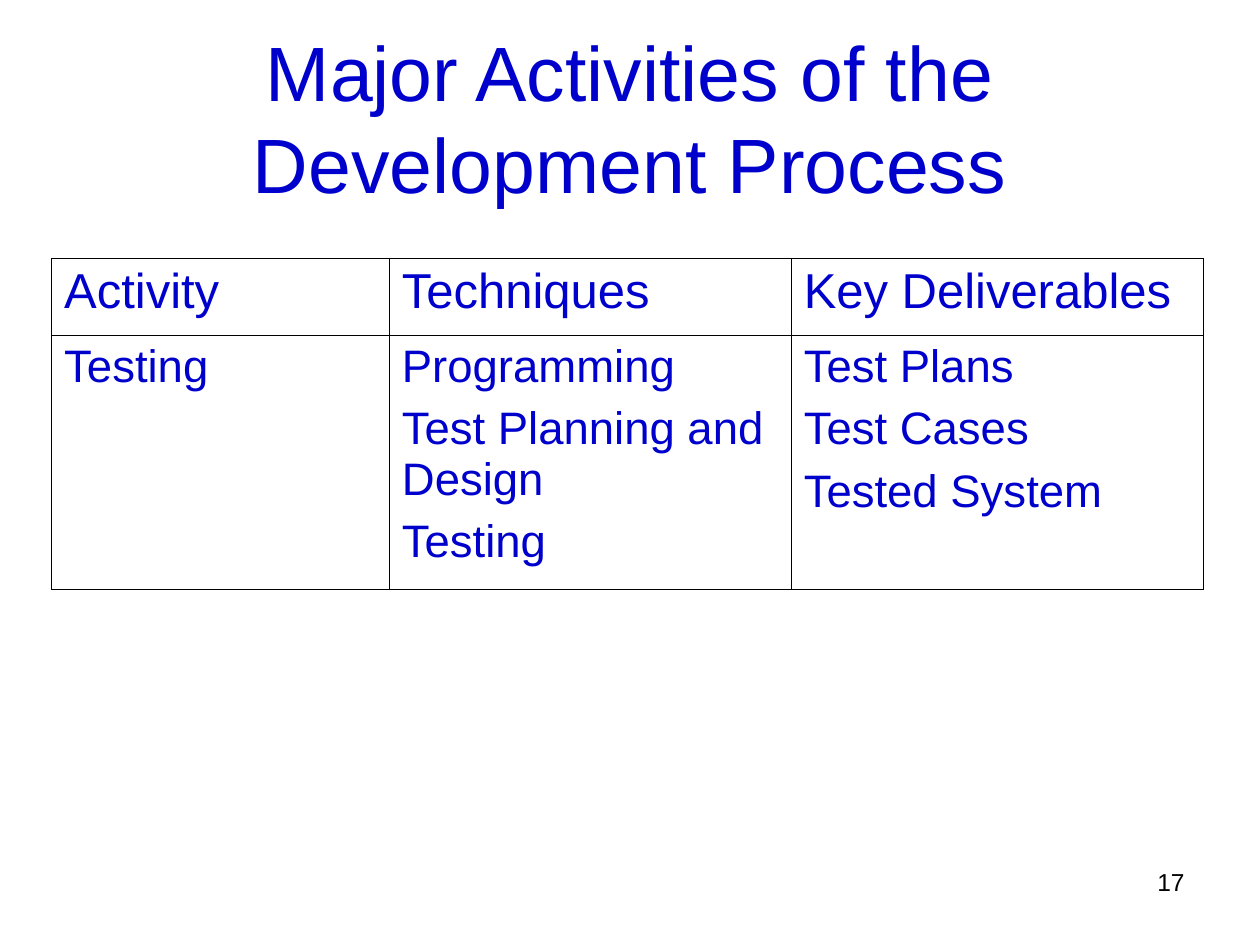
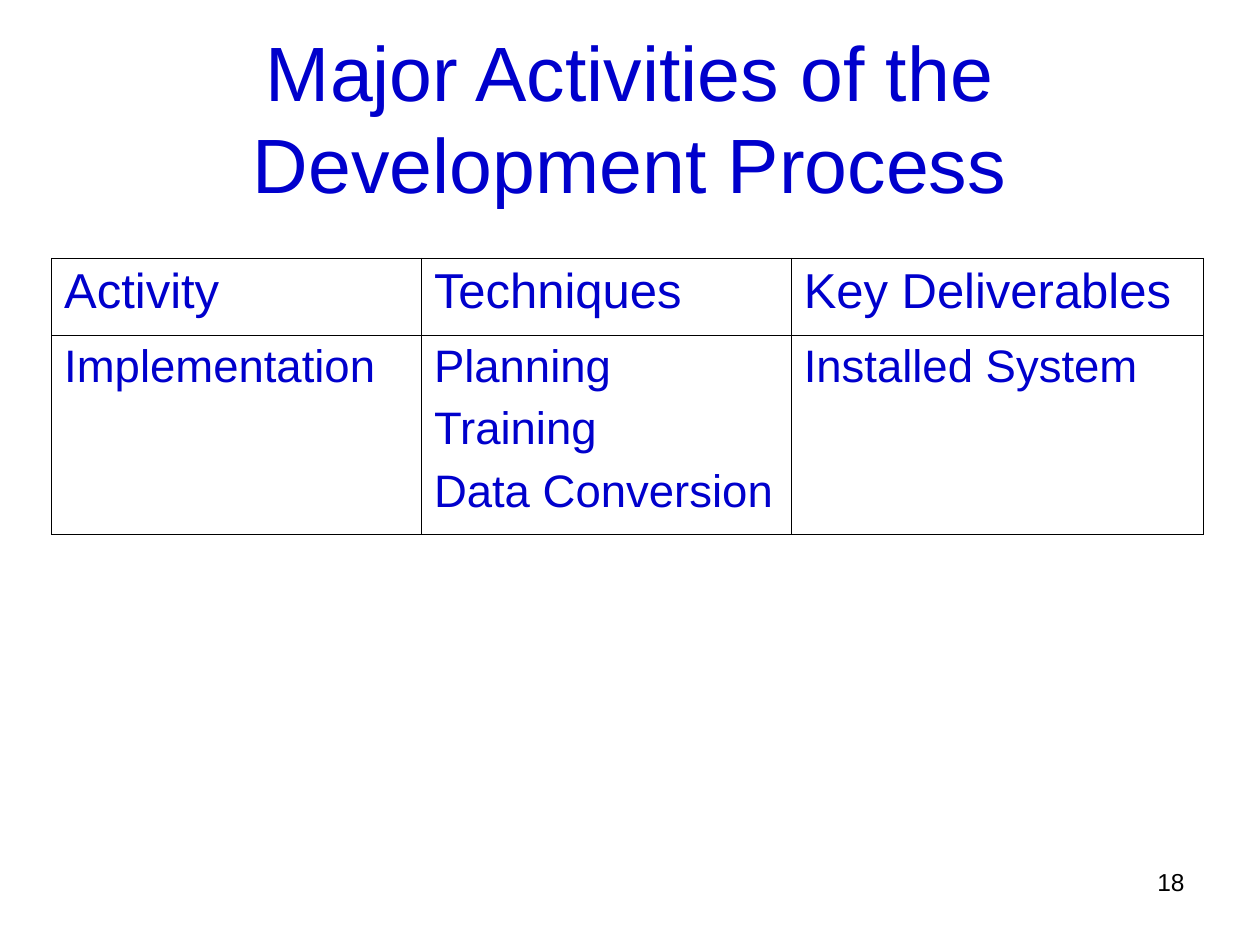
from lxml import etree
from pptx import Presentation
from pptx import util as u
from pptx.dml.color import RGBColor
from pptx.enum import text
from pptx.oxml import ns

BLUE = RGBColor(0x00, 0x00, 0xCC)
BLACK = RGBColor(0x00, 0x00, 0x00)
FONT = "Arial"
TITLE = "Major Activities of the Development Process"
HEADINGS = ["Activity", "Techniques", "Key Deliverables"]

# The slide is a grid of 100 columns by 75 rows
COLUMNS, ROWS = 100, 75
OUTER_LINE, INNER_LINE = 0.75, 0.45


def write(frame, lines, size, color=BLUE, align=text.PP_ALIGN.LEFT, gap=0):
    """Put one paragraph per line into a text frame, with gap points between."""
    frame.word_wrap = True
    for index, line in enumerate(lines):
        paragraph = frame.paragraphs[0] if index == 0 else frame.add_paragraph()
        paragraph.alignment = align
        if index and gap:
            paragraph.space_before = u.Pt(gap)
        run = paragraph.add_run()
        run.text = line
        run.font.name = FONT
        run.font.size = u.Pt(size)
        run.font.color.rgb = color


class Deck:
    def __init__(self):
        self.presentation = Presentation()
        self.presentation.slide_width = u.Inches(10)
        self.presentation.slide_height = u.Inches(7.5)
        self.slide = None

    def x(self, columns):
        return round(self.presentation.slide_width * columns / COLUMNS)

    def y(self, rows):
        return round(self.presentation.slide_height * rows / ROWS)

    def add_slide(self, number):
        """Start a slide with the shared title and page number."""
        self.slide = self.presentation.slides.add_slide(
            self.presentation.slide_layouts[6])
        self.text_box([TITLE], 5, 3, 90, 12.5, size=44,
                      align=text.PP_ALIGN.CENTER,
                      anchor=text.MSO_ANCHOR.MIDDLE)
        self.text_box([str(number)], 71.7, 68.3, 23.3, 5.2, size=14,
                      color=BLACK, align=text.PP_ALIGN.RIGHT)

    def text_box(self, lines, left, top, width, height,
                 anchor=text.MSO_ANCHOR.TOP, **style):
        shape = self.slide.shapes.add_textbox(
            self.x(left), self.y(top), self.x(width), self.y(height))
        shape.text_frame.vertical_anchor = anchor
        write(shape.text_frame, lines, **style)

    def table(self, entries, widths, heights):
        """Draw the headings and one row of multi-line entries."""
        contents = [[[heading] for heading in HEADINGS], entries]
        table = self.slide.shapes.add_table(
            len(heights), len(widths), self.x(4.1), self.y(20.5),
            self.x(sum(widths)), self.y(sum(heights))).table
        table.first_row = table.horz_banding = False
        for column, width in zip(table.columns, widths):
            column.width = self.x(width)
        for row, height in zip(table.rows, heights):
            row.height = self.y(height)
        last_row, last_column = len(heights) - 1, len(widths) - 1
        for i, row in enumerate(contents):
            for j, lines in enumerate(row):
                cell = table.cell(i, j)
                cell.fill.background()
                write(cell.text_frame, lines, size=26 if i else 28, gap=6.5)
                self.borders(cell, lnL=j == 0, lnR=j == last_column,
                             lnT=i == 0, lnB=i == last_row)

    def borders(self, cell, **outer_sides):
        """Line every side of a cell; outer sides are heavier."""
        properties = cell._tc.get_or_add_tcPr()
        for position, (side, outer) in enumerate(outer_sides.items()):
            width = u.Pt(OUTER_LINE if outer else INNER_LINE)
            line = etree.Element(ns.qn("a:" + side), w=str(width))
            fill = etree.SubElement(line, ns.qn("a:solidFill"))
            etree.SubElement(fill, ns.qn("a:srgbClr"), val=str(BLACK))
            properties.insert(position, line)


def main():
    deck = Deck()

    # Testing
    deck.add_slide(17)
    deck.table([["Testing"],
                ["Programming", "Test Planning and Design", "Testing"],
                ["Test Plans", "Test Cases", "Tested System"]],
               widths=[26.8, 31.9, 32.7], heights=[6.1, 20.2])

    # Implementation
    deck.add_slide(18)
    deck.table([["Implementation"],
                ["Planning", "Training", "Data Conversion"],
                ["Installed System"]],
               widths=[29.35, 29.35, 32.7], heights=[6.1, 15.8])

    deck.presentation.save("out.pptx")


if __name__ == "__main__":
    main()
